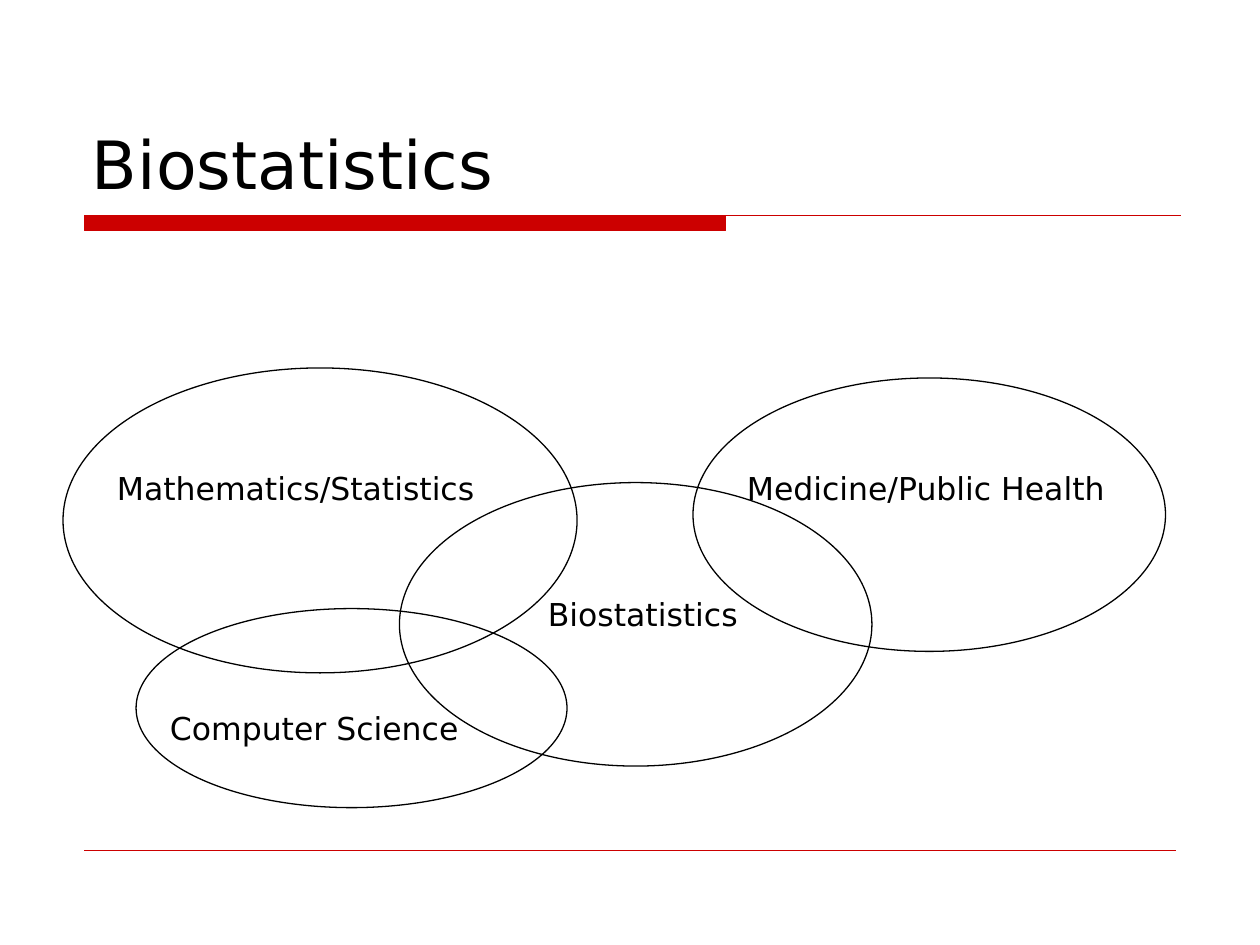
from dataclasses import dataclass

from lxml import etree
from pptx import Presentation, util as u
from pptx.dml.color import RGBColor
from pptx.enum import shapes, text
from pptx.oxml.ns import qn


@dataclass(frozen=True)
class Theme:
    face: str = "DejaVu Sans"
    ink: RGBColor = RGBColor(0, 0, 0)
    red: RGBColor = RGBColor(0xCC, 0, 0)
    head: int = 38
    body: int = 18
    rule: float = 0.75
    thin: float = 0.25


THEME = Theme()

# Ellipse box, label box (left, top, width, height) and wording
FIELDS = [
    ((0.5, 2.92, 4.08, 2.42), (0.83, 3.67, 3.42, 0.4), "Mathematics/Statistics"),
    ((5.5, 3, 3.75, 2.17), (5.83, 3.67, 3.33, 0.4), "Medicine/Public Health"),
    ((3.17, 3.83, 3.75, 2.25), (4.25, 4.67, 2.5, 0.4), "Biostatistics"),
    ((1.08, 4.83, 3.42, 1.58), (1.25, 5.58, 2.92, 0.4), "Computer Science"),
]


def inch(box):
    return [u.Inches(n) for n in box]


def assign(item, values):
    for name, value in values.items():
        setattr(item, name, value)


def write(frame, words, size, anchor):
    assign(frame, dict(text=words, word_wrap=True, vertical_anchor=anchor,
                       auto_size=text.MSO_AUTO_SIZE.NONE))
    para = frame.paragraphs[0]
    para.alignment = text.PP_ALIGN.LEFT
    font = para.runs[0].font
    assign(font, dict(name=THEME.face, size=u.Pt(size)))
    font.color.rgb = THEME.ink


def stroke(line, color, width):
    line.color.rgb = color
    line.width = u.Pt(width)


def add_title(slide, box, words):
    title = slide.shapes.title
    assign(title, dict(zip(("left", "top", "width", "height"), inch(box))))
    write(title.text_frame, words, THEME.head, text.MSO_ANCHOR.BOTTOM)


def add_band(slide, box, part):
    # Thick bar on the left, with its top edge running on as a rule
    x, y, w, h = inch(box)
    bar = x + u.Inches(part)
    pen = slide.shapes.build_freeform(x, y)
    pen.add_line_segments([(bar, y), (bar, y + h), (x, y + h)], close=True)
    pen.move_to(x, y)
    pen.add_line_segments([(x + w, y)], close=False)
    band = pen.convert_to_shape()
    band.shadow.inherit = False
    band.fill.solid()
    band.fill.fore_color.rgb = THEME.red
    stroke(band.line, THEME.red, THEME.rule)


def add_foot(slide, box):
    x, y, w, h = inch(box)
    foot = slide.shapes.add_connector(shapes.MSO_CONNECTOR.STRAIGHT, x, y, x + w, y + h)
    stroke(foot.line, THEME.red, THEME.thin)
    etree.SubElement(foot.element.spPr, qn("a:effectLst"))


def add_field(slide, box, spot, words):
    oval = slide.shapes.add_shape(shapes.MSO_SHAPE.OVAL, *inch(box))
    oval.shadow.inherit = False
    oval.fill.background()
    stroke(oval.line, THEME.ink, THEME.rule)
    label = slide.shapes.add_textbox(*inch(spot))
    write(label.text_frame, words, THEME.body, text.MSO_ANCHOR.TOP)


def main():
    deck = Presentation()
    deck.slide_width, deck.slide_height = inch((10, 7.5))
    slide = deck.slides.add_slide(deck.slide_layouts[5])

    # Frame: red band, footer rule and title
    add_band(slide, (0.67, 1.71, 8.7, 0.12), 5.09)
    add_foot(slide, (0.67, 6.75, 8.66, 0))
    add_title(slide, (0.63, 0.33, 8.75, 1.33), "Biostatistics")

    # Overlapping fields
    for field in FIELDS:
        add_field(slide, *field)

    deck.save("out.pptx")


if __name__ == "__main__":
    main()
